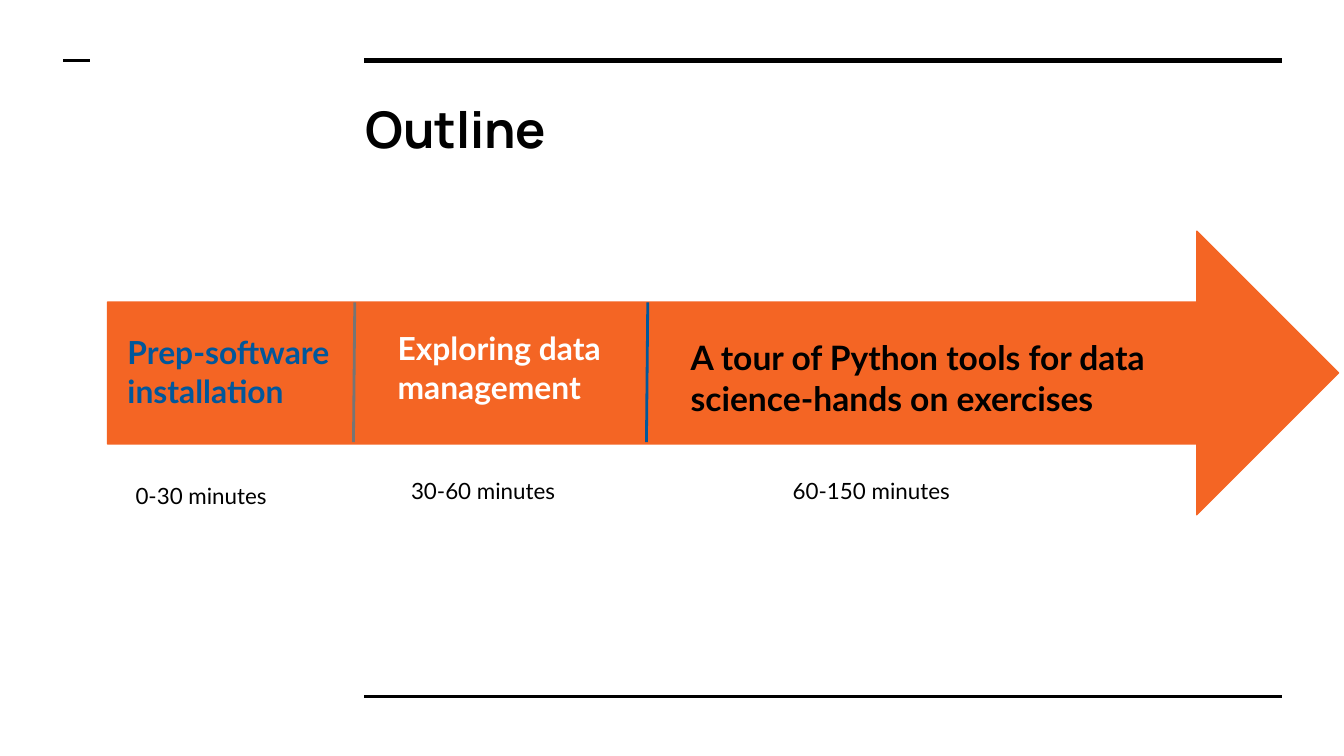
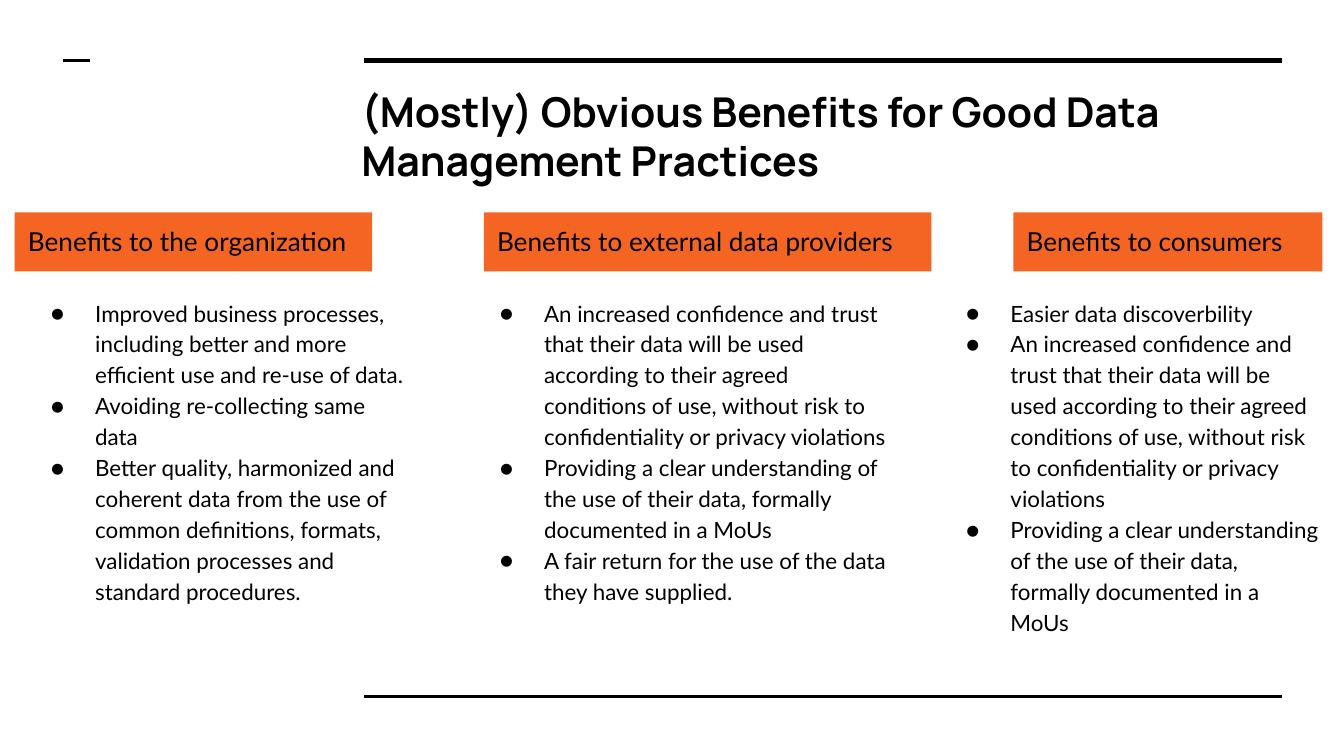
from lxml.etree import SubElement
from pptx import Presentation
from pptx.dml.color import RGBColor
from pptx.enum.shapes import MSO_CONNECTOR, MSO_SHAPE
from pptx.enum.text import MSO_ANCHOR, MSO_AUTO_SIZE, PP_ALIGN
from pptx.oxml.ns import qn
from pptx.util import Inches, Pt

COLORS = {
    "black": "000000",
    "white": "FFFFFF",
    "orange": "F46524",
    "blue": "01579B",
    "gray": "757575",
}
TITLE_FONT = "Manrope"
BODY_FONT = "Lato"


def write_text(shape, lines, size, color="black", font=BODY_FONT, bold=False,
               bulleted=False, grow=True):
    frame = shape.text_frame
    frame.word_wrap = True
    frame.auto_size = MSO_AUTO_SIZE.SHAPE_TO_FIT_TEXT if grow else MSO_AUTO_SIZE.NONE
    frame.vertical_anchor = MSO_ANCHOR.TOP
    frame.margin_left = frame.margin_right = Inches(0.1)
    frame.margin_top = frame.margin_bottom = Inches(0.1)
    frame.text = "\n".join(lines)
    for para in frame.paragraphs:
        para.alignment = PP_ALIGN.LEFT
        if bulleted:
            para.line_spacing = 1.15
            properties = para._p.get_or_add_pPr()
            properties.set("marL", str(Inches(0.5)))
            properties.set("indent", str(Inches(-0.33)))
            bullet_color = SubElement(properties, qn("a:buClr"))
            SubElement(bullet_color, qn("a:srgbClr")).set("val", COLORS[color])
            SubElement(properties, qn("a:buFont")).set("typeface", font)
            SubElement(properties, qn("a:buChar")).set("char", "●")
        for span in para.runs:
            span.font.name = font
            span.font.size = Pt(size)
            span.font.bold = bold
            span.font.color.rgb = RGBColor.from_string(COLORS[color])


def draw_line(page, start, end, width, color="black"):
    line = page.shapes.add_connector(
        MSO_CONNECTOR.STRAIGHT, *[Inches(value) for value in start + end])
    line.line.width = Pt(width)
    line.line.color.rgb = RGBColor.from_string(COLORS[color])
    SubElement(line._element.spPr, qn("a:effectLst"))


# Widescreen deck, 16:9
deck = Presentation()
deck.slide_width = Inches(10)
deck.slide_height = Inches(10 * 9 / 16)

# Shared rules and title style
titles = [
    ("Outline", 27, (2.62, 0.63, 6.91, 0.69)),
    ("(Mostly) Obvious Benefits for Good Data Management Practices", 22,
     (2.59, 0.54, 7.1, 0.69)),
]
pages = []
for title, size, place in titles:
    page = deck.slides.add_slide(deck.slide_layouts[6])
    page.background.fill.solid()
    page.background.fill.fore_color.rgb = RGBColor.from_string(COLORS["white"])
    draw_line(page, (2.71, 0.45), (9.54, 0.45), 3)
    draw_line(page, (2.71, 5.18), (9.54, 5.18), 1.5)
    draw_line(page, (0.47, 0.45), (0.67, 0.45), 1.5)
    box = page.shapes.add_textbox(*[Inches(value) for value in place])
    write_text(box, [title], size, font=TITLE_FONT, bold=True, grow=False)
    pages.append(page)
outline_page, benefits_page = pages

# Outline: timeline arrow
arrow = outline_page.shapes.add_shape(
    MSO_SHAPE.RIGHT_ARROW, Inches(0.8), Inches(1.72), Inches(9.16), Inches(2.11))
arrow.shadow.inherit = False
arrow.fill.solid()
arrow.fill.fore_color.rgb = RGBColor.from_string(COLORS["orange"])
arrow.line.color.rgb = RGBColor.from_string(COLORS["orange"])
arrow.line.width = Pt(0.75)

# Outline: dividers between the stages
for left, color in [(2.63, "gray"), (4.81, "blue")]:
    draw_line(outline_page, (left + 0.01, 2.25), (left, 3.29), 1.5, color)

# Outline: stage names and times
stages = [
    ("Prep-software installation", 17, "blue", (0.85, 2.38, 1.88, 0.77),
     "0-30 minutes", (0.91, 3.49)),
    ("Exploring data management", 17, "white", (2.86, 2.35, 2.34, 0.77),
     "30-60 minutes", (2.96, 3.45)),
    ("A tour of Python tools for data science-hands on exercises", 18, "black",
     (5.04, 2.41, 3.86, 0.81), "60-150 minutes", (5.8, 3.45)),
]
for name, size, color, name_place, minutes, (left, top) in stages:
    box = outline_page.shapes.add_textbox(*[Inches(value) for value in name_place])
    write_text(box, [name], size, color, bold=True)
    box = outline_page.shapes.add_textbox(
        Inches(left), Inches(top), Inches(1.92), Inches(0.4))
    write_text(box, [minutes], 12)

# Benefits: heading bands and bullet lists
confidence = ("An increased confidence and trust that their data will be used "
              "according to their agreed conditions of use, without risk to "
              "confidentiality or privacy violations")
understanding = ("Providing a clear understanding of the use of their data, "
                 "formally documented in a MoUs")
columns = [
    ("Benefits to the organization", 0.11, 2.66, 0.11, 3.01, [
        "Improved business processes, including better and more efficient use "
        "and re-use of data.",
        "Avoiding re-collecting same data",
        "Better quality, harmonized and coherent data from the use of common "
        "definitions, formats, validation processes and standard procedures.",
    ]),
    ("Benefits to external data providers", 3.6, 3.33, 3.45, 3.28, [
        confidence,
        understanding,
        "A fair return for the use of the data they have supplied.",
    ]),
    ("Benefits to consumers", 7.54, 2.3, 6.92, 3.01, [
        "Easier data discoverbility",
        confidence,
        understanding,
    ]),
]
for heading, band_left, band_width, list_left, list_width, benefits in columns:
    band = benefits_page.shapes.add_shape(
        MSO_SHAPE.RECTANGLE, Inches(band_left), Inches(1.58),
        Inches(band_width), Inches(0.44))
    band.shadow.inherit = False
    band.fill.solid()
    band.fill.fore_color.rgb = RGBColor.from_string(COLORS["orange"])
    band.line.fill.background()
    write_text(band, [heading], 14)
    box = benefits_page.shapes.add_textbox(
        Inches(list_left), Inches(2.1), Inches(list_width), Inches(2.49))
    write_text(box, benefits, 12, bulleted=True)

deck.save("out.pptx")
